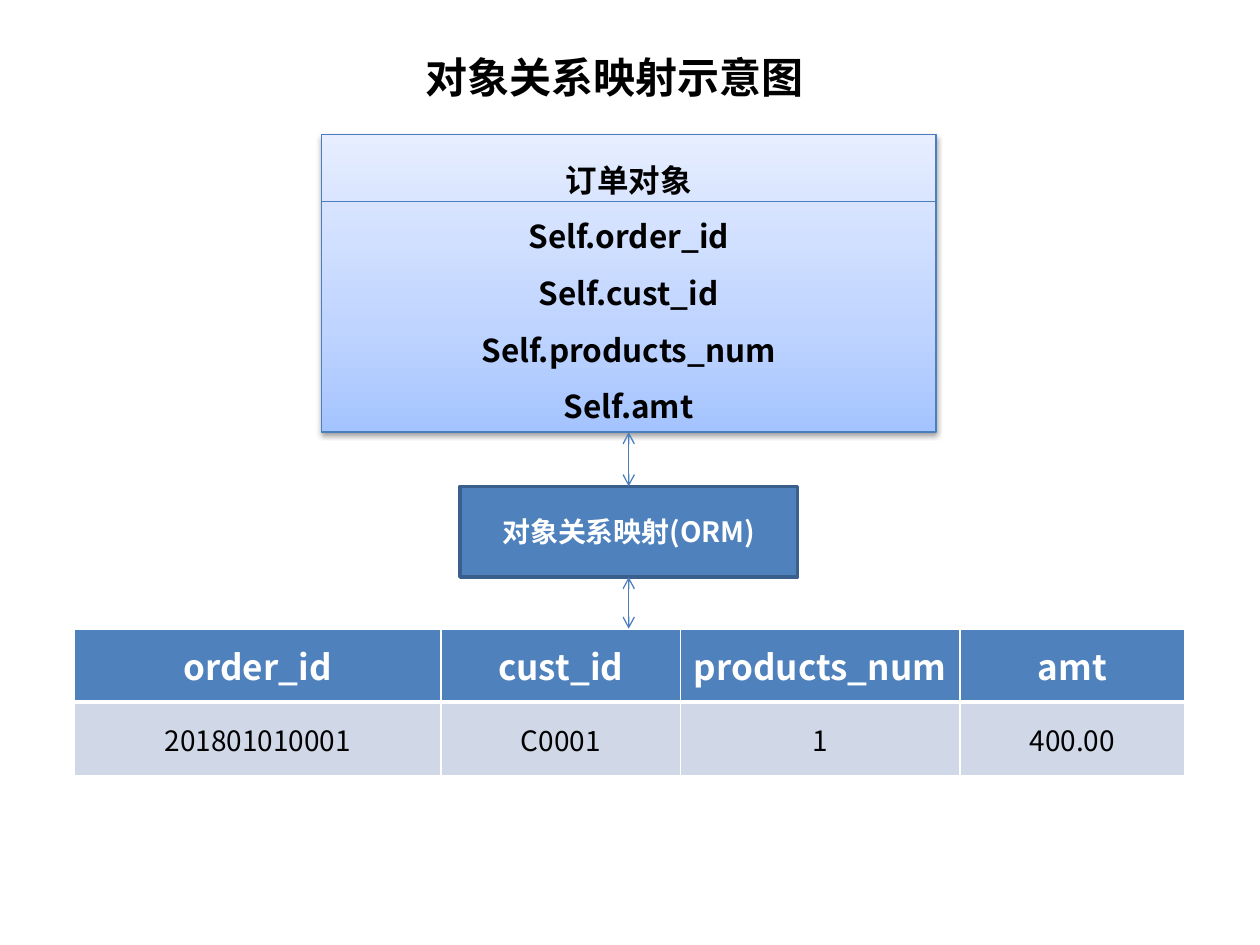
from lxml import etree
from pptx import Presentation
from pptx.dml.color import RGBColor
from pptx.enum.shapes import MSO_CONNECTOR as Conn, MSO_SHAPE as Shape
from pptx.enum.text import MSO_ANCHOR as Anchor, MSO_AUTO_SIZE as Fit, PP_ALIGN as Align
from pptx.oxml import parse_xml
from pptx.oxml.ns import nsdecls, qn
from pptx.util import Inches, Pt

FONT = "Noto Sans CJK SC"
WHITE = RGBColor(0xFF, 0xFF, 0xFF)
BLACK = RGBColor(0, 0, 0)
BLUE = RGBColor(0x4F, 0x81, 0xBD)
EDGE = RGBColor(0x3A, 0x5F, 0x8C)
LINE = RGBColor(0x4B, 0x7E, 0xBC)
PALE = RGBColor(0xD0, 0xD8, 0xE8)
FADE = [(0, "A4C4FF"), (35, "BFD4FF"), (100, "E6EEFF")]

MID = 4.99
LEFT, WIDTH = 2.55, 4.88
FIELDS = ["订单对象", "Self.order_id", "Self.cust_id", "Self.products_num", "Self.amt"]
ROWS = [["order_id", "cust_id", "products_num", "amt"],
        ["201801010001", "C0001", "1", "400.00"]]
COLS = [2.91, 1.9, 2.22, 1.78]
TALL = [0.58, 0.59]


def style(frame, size, color, bold=True, space=None):
    """Format every run of a text frame, centred."""
    for para in frame.paragraphs:
        para.alignment = Align.CENTER
        if space:
            para.line_spacing = space
        for run in para.runs:
            font = run.font
            font.size, font.bold, font.name = Pt(size), bold, FONT
            font.color.rgb = color
            east = etree.SubElement(run._r.get_or_add_rPr(), qn("a:ea"))
            east.set("typeface", FONT)


def add_box(slide, place, text, edge, width):
    box = slide.shapes.add_shape(Shape.RECTANGLE, *map(Inches, place))
    box.shadow.inherit = False
    box.fill.solid()
    box.fill.fore_color.rgb = BLUE
    box.line.color.rgb = edge
    box.line.width = Pt(width)
    frame = box.text_frame
    frame.word_wrap = True
    frame.vertical_anchor = Anchor.MIDDLE
    frame.text = text
    return box


def add_fade(box):
    """Give a box the upward gradient and a soft shadow below."""
    stops = "".join(f'<a:gs pos="{pos * 1000}"><a:srgbClr val="{rgb}"/></a:gs>'
                    for pos, rgb in FADE)
    props = box._element.spPr
    props.replace(props.find(qn("a:solidFill")), parse_xml(
        f'<a:gradFill {nsdecls("a")} rotWithShape="1"><a:gsLst>{stops}</a:gsLst>'
        '<a:lin ang="16200000" scaled="0"/></a:gradFill>'))
    props.find(qn("a:effectLst")).append(parse_xml(
        f'<a:outerShdw {nsdecls("a")} blurRad="{Pt(3.1)}" dist="{Pt(1.6)}" '
        'dir="5400000" rotWithShape="0"><a:srgbClr val="000000">'
        '<a:alpha val="38000"/></a:srgbClr></a:outerShdw>'))


def add_line(slide, start, end, arrows=False):
    line = slide.shapes.add_connector(Conn.STRAIGHT, *map(Inches, start + end))
    line.line.color.rgb = LINE
    line.line.width = Pt(0.75)
    if arrows:
        for tip in ("a:headEnd", "a:tailEnd"):
            etree.SubElement(line.line._get_or_add_ln(), qn(tip)).set("type", "arrow")
    etree.SubElement(line._element.spPr, qn("a:effectLst"))
    return line


def add_edges(cell, top, bottom):
    """Put white borders on a cell; the sides are 1 pt wide."""
    props = cell._tc.get_or_add_tcPr()
    sides = [("L", 1), ("R", 1), ("T", top), ("B", bottom)]
    for spot, (side, width) in enumerate(sides):
        props.insert(spot, parse_xml(
            f'<a:ln{side} {nsdecls("a")} w="{Pt(width)}"><a:solidFill>'
            f'<a:srgbClr val="{WHITE}"/></a:solidFill></a:ln{side}>'))


def add_grid(slide, left, top):
    size = map(Inches, (left, top, sum(COLS), sum(TALL)))
    table = slide.shapes.add_table(len(ROWS), len(COLS), *size).table
    for col, width in zip(table.columns, COLS):
        col.width = Inches(width)
    looks = [(BLUE, WHITE, 20, True, 1, 3), (PALE, BLACK, 16, False, 3, 1)]
    for r, (fill, ink, size, bold, upper, lower) in enumerate(looks):
        table.rows[r].height = Inches(TALL[r])
        for c, text in enumerate(ROWS[r]):
            cell = table.cell(r, c)
            cell.text = text
            cell.vertical_anchor = Anchor.MIDDLE
            cell.fill.solid()
            cell.fill.fore_color.rgb = fill
            style(cell.text_frame, size, ink, bold)
            add_edges(cell, upper, lower)


def add_title(slide, text):
    place = map(Inches, (3.28, 0.36, 3.2, 0.5))
    frame = slide.shapes.add_textbox(*place).text_frame
    frame.word_wrap = False
    frame.auto_size = Fit.SHAPE_TO_FIT_TEXT
    frame.text = text
    style(frame, 24, BLACK)


def main():
    deck = Presentation()
    deck.slide_width, deck.slide_height = Inches(10), Inches(7.5)
    slide = deck.slides.add_slide(deck.slide_layouts[6])

    add_grid(slide, 0.59, 4.99)
    order = add_box(slide, (LEFT, 1.07, WIDTH, 2.36), "\n".join(FIELDS), LINE, 0.75)
    style(order.text_frame, 18, BLACK, space=1.5)
    add_fade(order)
    mapper = add_box(slide, (3.65, 3.86, 2.68, 0.72), "对象关系映射(ORM)", EDGE, 2)
    style(mapper.text_frame, 16, WHITE)

    link = add_line(slide, (MID, 3.43), (MID, 3.86), arrows=True)
    link.begin_connect(order, 2)
    link.end_connect(mapper, 0)
    link = add_line(slide, (MID, 4.58), (MID, 4.99), arrows=True)
    link.begin_connect(mapper, 2)

    add_title(slide, "对象关系映射示意图")
    add_line(slide, (LEFT, 1.6), (LEFT + WIDTH, 1.6))
    deck.save("out.pptx")


if __name__ == "__main__":
    main()
